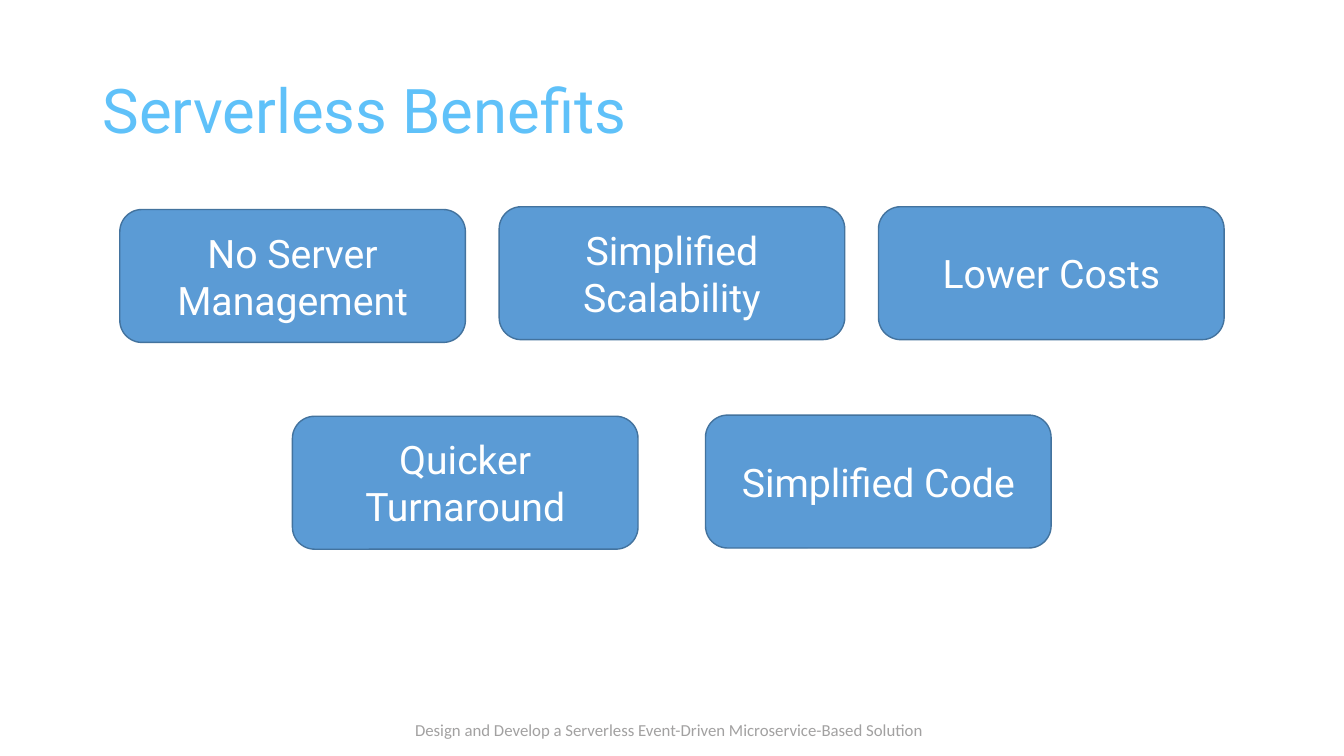
from dataclasses import dataclass

from pptx import Presentation
from pptx.dml.color import RGBColor
from pptx.enum.shapes import MSO_SHAPE
from pptx.enum.text import MSO_ANCHOR, MSO_AUTO_SIZE, PP_ALIGN
from pptx.slide import Slide
from pptx.text.text import TextFrame
from pptx.util import Cm, Pt

ROUNDED_RECTANGLE = MSO_SHAPE.ROUNDED_RECTANGLE
MIDDLE = MSO_ANCHOR.MIDDLE
NO_AUTOFIT = MSO_AUTO_SIZE.NONE
FIT_SHAPE = MSO_AUTO_SIZE.SHAPE_TO_FIT_TEXT
LEFT, CENTER = PP_ALIGN.LEFT, PP_ALIGN.CENTER

SKY_BLUE = RGBColor(0x5F, 0xC1, 0xF9)
BOX_BLUE = RGBColor(0x5B, 0x9B, 0xD5)
BORDER_BLUE = RGBColor(0x43, 0x73, 0x9E)
WHITE = RGBColor(0xFF, 0xFF, 0xFF)
FOOTER_GRAY = RGBColor(0xA2, 0xA1, 0xA1)

BOX_WIDTH, BOX_HEIGHT = 8.71, 3.35


@dataclass(frozen=True)
class Benefit:
    label: str
    top: float


@dataclass(frozen=True)
class BenefitRow:
    left: float
    pitch: float
    benefits: tuple[Benefit, ...]


ROWS = (
    BenefitRow(3.02, 9.56, (
        Benefit("No Server Management", 5.28),
        Benefit("Simplified Scalability", 5.21),
        Benefit("Lower Costs", 5.21),
    )),
    BenefitRow(7.37, 10.41, (
        Benefit("Quicker Turnaround", 10.49),
        Benefit("Simplified Code", 10.46),
    )),
)


def write_text(text_frame: TextFrame, text: str, font_name: str, size: int,
               color: RGBColor, alignment: PP_ALIGN) -> None:
    text_frame.text = text
    paragraph = text_frame.paragraphs[0]
    paragraph.alignment = alignment
    font = paragraph.runs[0].font
    font.name = font_name
    font.size = Pt(size)
    font.color.rgb = color


def add_title(slide: Slide) -> None:
    title = slide.shapes.title
    title.left, title.top = Cm(2.33), Cm(1.01)
    title.width, title.height = Cm(29.21), Cm(3.68)
    text_frame = title.text_frame
    text_frame.auto_size = NO_AUTOFIT
    text_frame.vertical_anchor = MIDDLE
    write_text(text_frame, "Serverless Benefits", "Roboto", 44, SKY_BLUE, LEFT)
    text_frame.paragraphs[0].line_spacing = 0.9


def add_benefit(slide: Slide, benefit: Benefit, left: float) -> None:
    shape = slide.shapes.add_shape(
        ROUNDED_RECTANGLE, Cm(left), Cm(benefit.top), Cm(BOX_WIDTH), Cm(BOX_HEIGHT))
    shape.shadow.inherit = False
    shape.fill.solid()
    shape.fill.fore_color.rgb = BOX_BLUE
    shape.line.color.rgb = BORDER_BLUE
    shape.line.width = Pt(1)
    shape.text_frame.word_wrap = True
    shape.text_frame.vertical_anchor = MIDDLE
    write_text(shape.text_frame, benefit.label, "Roboto", 28, WHITE, CENTER)


def add_footer(slide: Slide) -> None:
    footer = slide.shapes.add_textbox(Cm(10.21), Cm(18.01), Cm(13.46), Cm(0.76))
    footer.text_frame.word_wrap = False
    footer.text_frame.auto_size = FIT_SHAPE
    write_text(footer.text_frame,
               "Design and Develop a Serverless Event-Driven Microservice-Based Solution",
               "Calibri", 12, FOOTER_GRAY, LEFT)


def main() -> None:
    presentation = Presentation()
    presentation.slide_width, presentation.slide_height = Cm(33.87), Cm(19.05)
    slide = presentation.slides.add_slide(presentation.slide_layouts[5])
    add_footer(slide)
    add_title(slide)
    for row in ROWS:
        for column, benefit in enumerate(row.benefits):
            add_benefit(slide, benefit, row.left + column * row.pitch)
    presentation.save("out.pptx")


if __name__ == "__main__":
    main()
